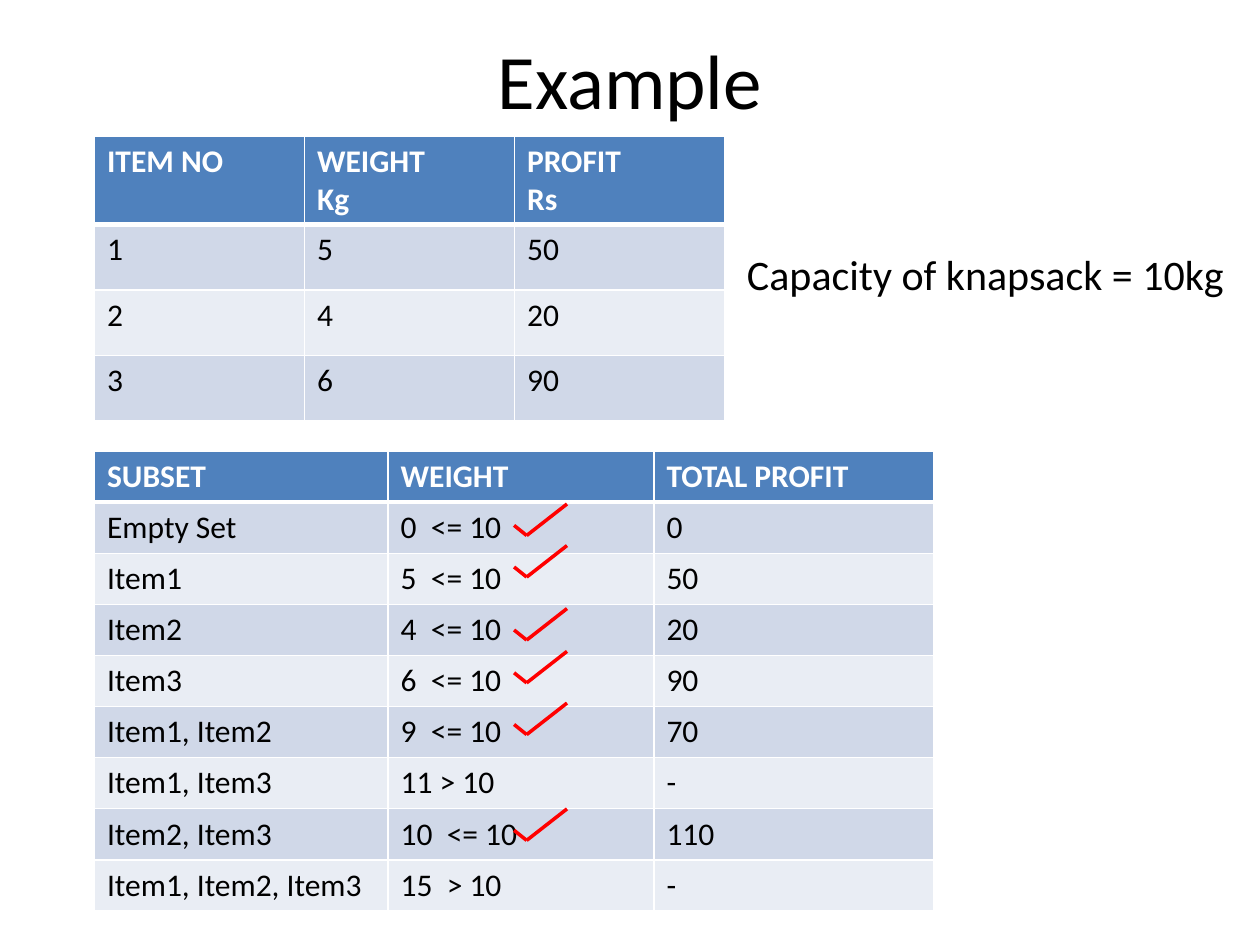
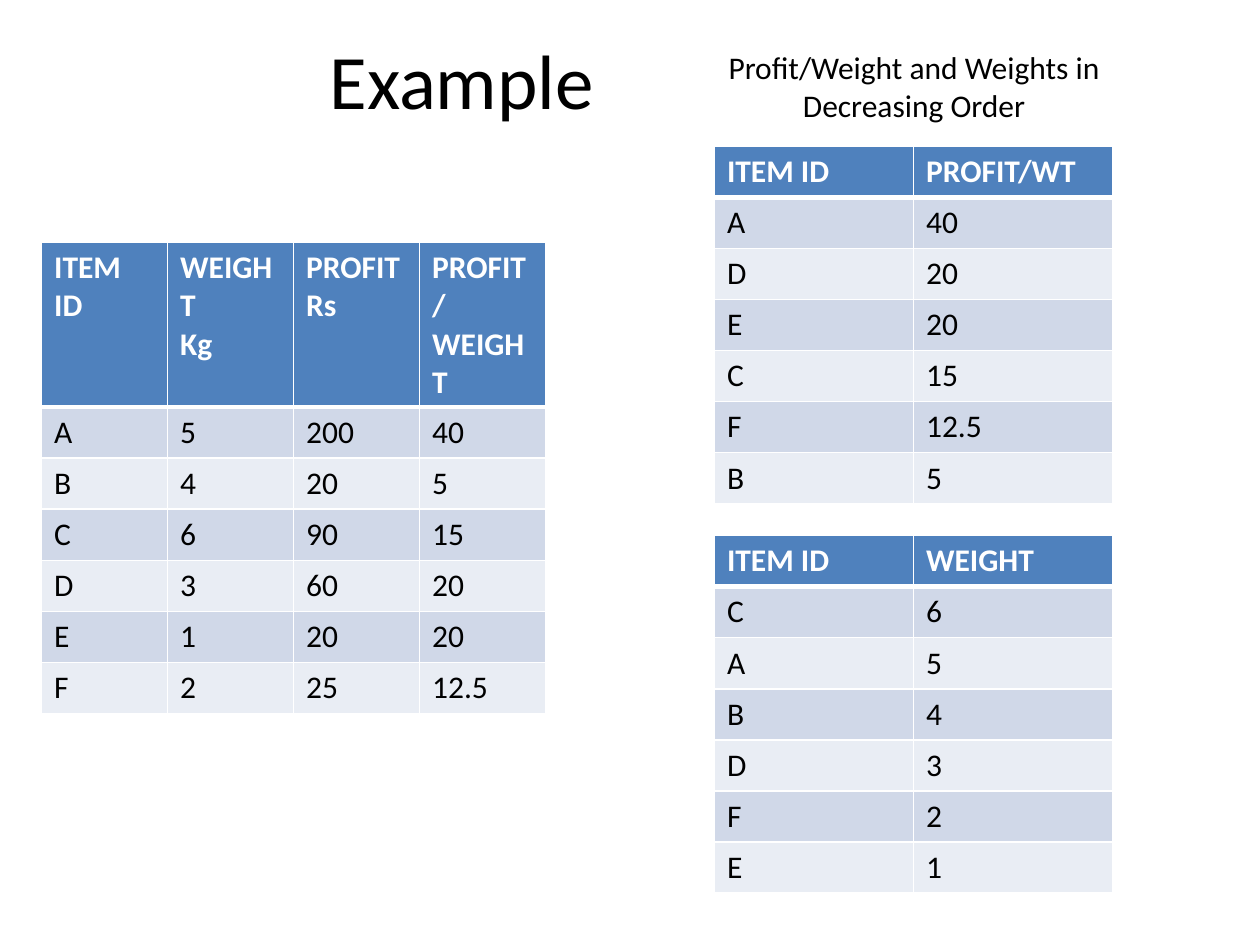
from lxml import etree
from pptx import Presentation
from pptx.dml.color import RGBColor
from pptx.enum import shapes, text
from pptx.oxml import ns
from pptx.util import Inches, Pt

FONT = "Calibri"
BLACK = RGBColor(0x00, 0x00, 0x00)
WHITE = RGBColor(0xFF, 0xFF, 0xFF)
HEADER_BLUE = RGBColor(0x4F, 0x81, 0xBD)
BAND_DARK = RGBColor(0xD0, 0xD8, 0xE8)
BAND_LIGHT = RGBColor(0xE9, 0xED, 0xF4)
TICK_RED = RGBColor(0xFF, 0x00, 0x00)
ROW_HEIGHT = 3.65 / 9

TICK_LEFT = 4.08
TICK_TOPS = [4, 4.33, 4.83, 5.17, 5.58, 6.42]
TICK_POINTS = [(0, 0.17), (0.1, 0.25), (0.42, 0)]

ITEMS = [
    ("ITEM NO", "WEIGHT\nKg", "PROFIT\nRs"),
    ("1", "5", "50"),
    ("2", "4", "20"),
    ("3", "6", "90"),
]
SUBSETS = [
    ("SUBSET", "WEIGHT", "TOTAL PROFIT"),
    ("Empty Set", "0  <= 10", "0"),
    ("Item1", "5  <= 10", "50"),
    ("Item2", "4  <= 10", "20"),
    ("Item3", "6  <= 10", "90"),
    ("Item1, Item2", "9  <= 10", "70"),
    ("Item1, Item3", "11 > 10", "-"),
    ("Item2, Item3", "10  <= 10", "110"),
    ("Item1, Item2, Item3", "15  > 10", "-"),
]
RATIOS = [
    ("ITEM ID", "WEIGHT\nKg", "PROFIT\nRs", "PROFIT/WEIGHT"),
    ("A", "5", "200", "40"),
    ("B", "4", "20", "5"),
    ("C", "6", "90", "15"),
    ("D", "3", "60", "20"),
    ("E", "1", "20", "20"),
    ("F", "2", "25", "12.5"),
]
BY_RATIO = [
    ("ITEM ID", "PROFIT/WT"),
    ("A", "40"), ("D", "20"), ("E", "20"),
    ("C", "15"), ("F", "12.5"), ("B", "5"),
]
BY_WEIGHT = [
    ("ITEM ID", "WEIGHT"),
    ("C", "6"), ("A", "5"), ("B", "4"),
    ("D", "3"), ("F", "2"), ("E", "1"),
]

PAGES = [
    {
        "title": (0.5, 9),
        "tables": [
            dict(rows=ITEMS, left=0.75, top=1.08, widths=[5 / 3] * 3, header=0.7, height=0.52),
            dict(rows=SUBSETS, left=0.75, top=3.58, widths=[2.33, 2.11, 2.22]),
        ],
        "note": dict(content="Capacity of knapsack = 10kg", at=(5.83, 1.92, 4.08, 0.5), size=24),
        "ticks": TICK_TOPS,
    },
    {
        "title": (0, 7.33),
        "tables": [
            dict(rows=RATIOS, left=0.33, top=1.92, widths=[1] * 4, header=1.31),
            dict(rows=BY_RATIO, left=5.67, top=1.16, widths=[1.58] * 2),
            dict(rows=BY_WEIGHT, left=5.67, top=4.25, widths=[1.58] * 2),
        ],
        "note": dict(content="Profit/Weight and Weights in Decreasing Order",
                     at=(5.17, 0.33, 4.17, 0.71), size=18, align=text.PP_ALIGN.CENTER),
        "ticks": [],
    },
]


def write(frame, content, size=18, color=BLACK, bold=False, align=text.PP_ALIGN.LEFT):
    for index, line in enumerate(content.split("\n")):
        para = frame.paragraphs[0] if index == 0 else frame.add_paragraph()
        para.alignment = align
        span = para.add_run()
        span.text = line
        span.font.name = FONT
        span.font.size = Pt(size)
        span.font.bold = bold
        span.font.color.rgb = color


def add_text(page, content, at, anchor=text.MSO_ANCHOR.TOP, **style):
    frame = page.shapes.add_textbox(*map(Inches, at)).text_frame
    frame.word_wrap = True
    frame.vertical_anchor = anchor
    write(frame, content, **style)


def set_borders(cell, top, bottom):
    properties = cell._tc.get_or_add_tcPr()
    edges = [("lnL", 1), ("lnR", 1), ("lnT", top), ("lnB", bottom)]
    for position, (name, width) in enumerate(edges):
        line = etree.Element(ns.qn("a:" + name), w=str(Pt(width)))
        fill = etree.SubElement(line, ns.qn("a:solidFill"))
        etree.SubElement(fill, ns.qn("a:srgbClr"), val=str(WHITE))
        properties.insert(position, line)


def add_table(page, rows, left, top, widths, header=ROW_HEIGHT, height=ROW_HEIGHT):
    heights = [header] + [height] * (len(rows) - 1)
    area = map(Inches, (left, top, sum(widths), sum(heights)))
    table = page.shapes.add_table(len(rows), len(widths), *area).table
    for column, width in zip(table.columns, widths):
        column.width = Inches(width)
    for row_index, values in enumerate(rows):
        table.rows[row_index].height = Inches(heights[row_index])
        is_header = row_index == 0
        band = BAND_DARK if row_index % 2 else BAND_LIGHT
        for column_index, value in enumerate(values):
            cell = table.cell(row_index, column_index)
            cell.fill.solid()
            cell.fill.fore_color.rgb = HEADER_BLUE if is_header else band
            set_borders(cell, top=3 if row_index == 1 else 1, bottom=3 if is_header else 1)
            write(cell.text_frame, value, color=WHITE if is_header else BLACK, bold=is_header)


def add_tick(page, top):
    group = page.shapes.add_group_shape()
    points = [(Inches(TICK_LEFT + x), Inches(top + y)) for x, y in TICK_POINTS]
    for start, end in zip(points, points[1:]):
        stroke = group.shapes.add_connector(shapes.MSO_CONNECTOR.STRAIGHT, *start, *end)
        stroke.line.color.rgb = TICK_RED
        stroke.line.width = Pt(2)
        etree.SubElement(stroke._element.spPr, ns.qn("a:effectLst"))


deck = Presentation()
deck.slide_width, deck.slide_height = Inches(10), Inches(7.5)
for content in PAGES:
    page = deck.slides.add_slide(deck.slide_layouts[6])
    title_left, title_width = content["title"]
    add_text(page, "Example", (title_left, 0, title_width, 1.25), size=44,
             anchor=text.MSO_ANCHOR.MIDDLE, align=text.PP_ALIGN.CENTER)
    for table in content["tables"]:
        add_table(page, **table)
    add_text(page, **content["note"])
    for top in content["ticks"]:
        add_tick(page, top)
deck.save("out.pptx")
